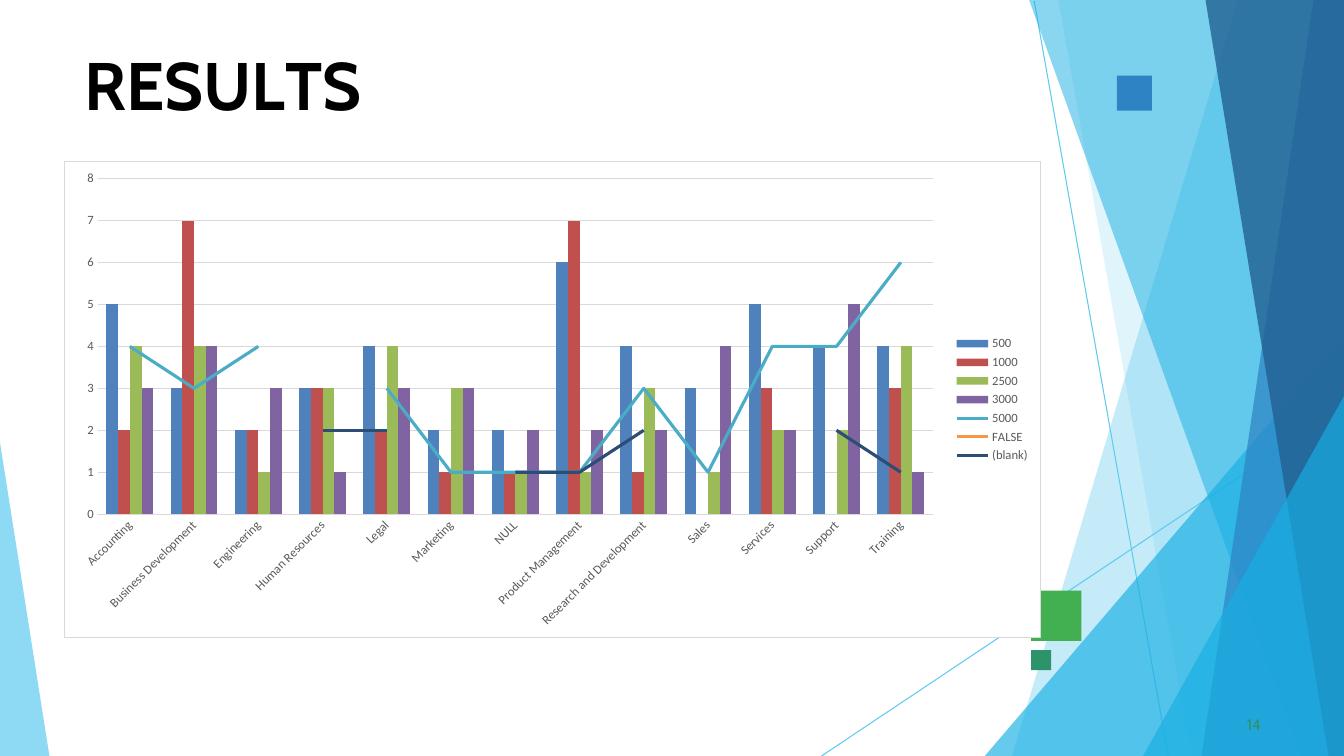
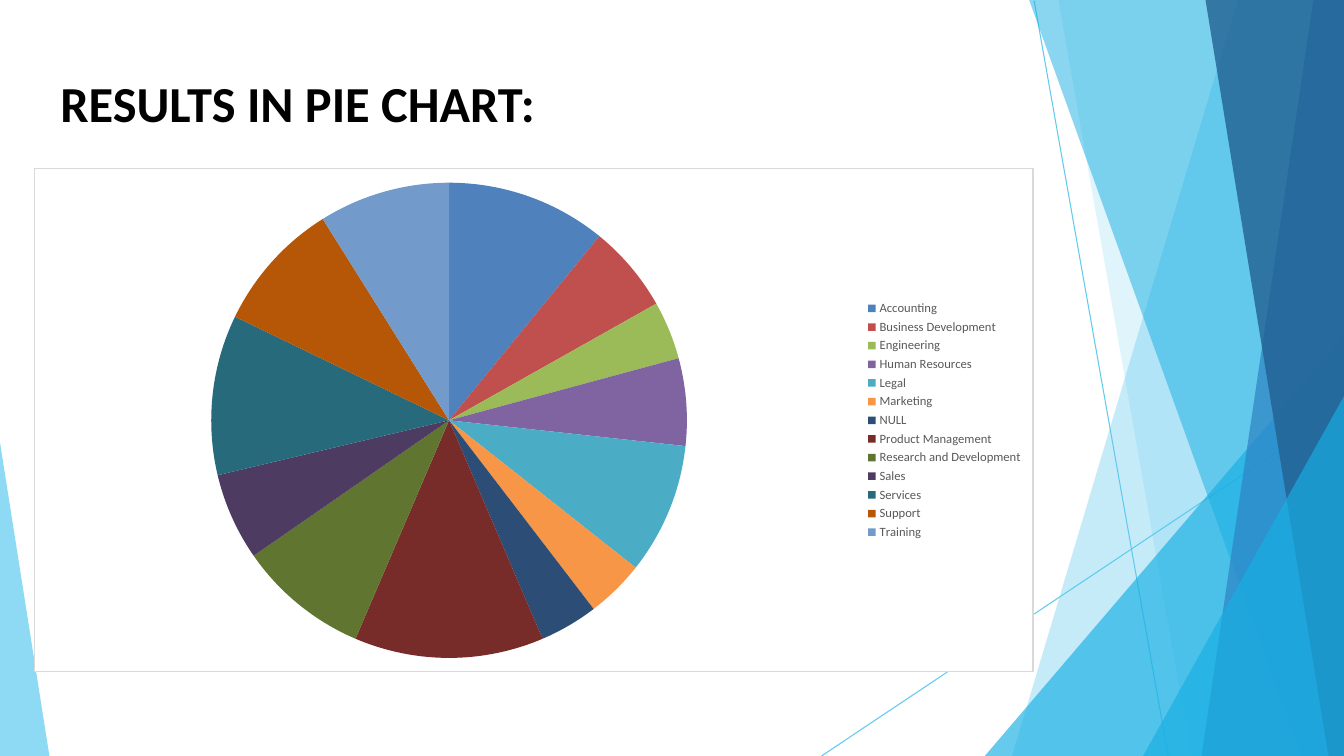
"""Builds two result slides: a column and line chart, and a pie chart."""
from pptx import Presentation, util as u
from pptx.chart.data import CategoryChartData
from pptx.dml.color import RGBColor
from pptx.enum import chart as ch, shapes, text
from pptx.oxml import parse_xml
from pptx.oxml.ns import nsdecls, qn

Pt = u.Pt
BLACK = RGBColor(0x00, 0x00, 0x00)
WHITE = RGBColor(0xFF, 0xFF, 0xFF)
GRAY = RGBColor(0x59, 0x59, 0x59)
RULE = RGBColor(0xD9, 0xD9, 0xD9)
SKY = RGBColor(0x5F, 0xCA, 0xEE)
CYAN = RGBColor(0x17, 0xAF, 0xE3)
BLUE = RGBColor(0x2D, 0x83, 0xC3)
NAVY = RGBColor(0x22, 0x61, 0x92)
GREEN = RGBColor(0x42, 0xAF, 0x51)
TEAL = RGBColor(0x2D, 0x93, 0x6B)
PALETTE = [RGBColor.from_string(c) for c in (
    "4F81BD", "C0504D", "9BBB59", "8064A2", "4BACC6", "F79646", "2C4D75",
    "772C2A", "5F7530", "4D3B62", "276A7C", "B65708", "729ACA")]

DEPARTMENTS = ["Accounting", "Business Development", "Engineering", "Human Resources",
               "Legal", "Marketing", "NULL", "Product Management",
               "Research and Development", "Sales", "Services", "Support", "Training"]
COUNTS = {
    "500": [5, 3, 2, 3, 4, 2, 2, 6, 4, 3, 5, 4, 4],
    "1000": [2, 7, 2, 3, 2, 1, 1, 7, 1, None, 3, None, 3],
    "2500": [4, 4, 1, 3, 4, 3, 1, 1, 3, 1, 2, 2, 4],
    "3000": [3, 4, 3, 1, 3, 3, 2, 2, 2, 4, 2, 5, 1],
    "5000": [4, 3, 4, None, 3, 1, 1, 1, 3, 1, 4, 4, 6],
    "FALSE": [None, None, 1] + [None] * 10,
    "(blank)": [2, None, None, 2, 2, None, 1, 1, 2, None, None, 2, 1],
}
W, H = 960, 540


def add_text(s, box, runs, size, font, color, bold=False, inset=None):
    """Adds a one-paragraph text box and returns it."""
    sp = s.shapes.add_textbox(*map(Pt, box))
    tf = sp.text_frame
    tf.word_wrap = True
    tf.vertical_anchor = text.MSO_ANCHOR.TOP
    if inset is not None:
        tf.margin_left = tf.margin_right = tf.margin_bottom = 0
        tf.margin_top = Pt(inset)
    p = tf.paragraphs[0]
    for run in runs:
        p.add_run().text = run
    p.font.size, p.font.name, p.font.bold = Pt(size), font, bold
    p.font.color.rgb = color
    return sp


def add_chart(s, kind, box, data):
    """Adds a framed chart with a legend on the right and returns it."""
    chart = s.shapes.add_chart(kind, *map(Pt, box), data).chart
    chart.has_title = False
    chart.font.size, chart.font.name = Pt(10), "Calibri"
    chart.font.color.rgb = BLACK
    chart.has_legend = True
    chart.legend.position = ch.XL_LEGEND_POSITION.RIGHT
    chart.legend.include_in_layout = False
    fonts = [chart.legend.font]
    if kind != ch.XL_CHART_TYPE.PIE:
        fonts += [a.tick_labels.font for a in (chart.category_axis, chart.value_axis)]
    for font in fonts:
        font.size, font.name = Pt(9), "Calibri"
        font.color.rgb = GRAY
    chart.element.find(qn("c:chart")).addnext(parse_xml(
        f'<c:spPr {nsdecls("c", "a")}>'
        f'<a:solidFill><a:srgbClr val="{WHITE}"/></a:solidFill>'
        f'<a:ln w="{Pt(0.75)}"><a:solidFill><a:srgbClr val="{RULE}"/></a:solidFill></a:ln>'
        '</c:spPr>'))
    return chart


prs = Presentation()
prs.slide_width, prs.slide_height = Pt(W), Pt(H)
layout = prs.slide_layouts[6]
s = prs.slides.add_slide(layout)

decor = []
for ends in ((738.72, 0.72, 834.48, H), (W, 290.88, 586.8, H)):
    line = s.shapes.add_connector(shapes.MSO_CONNECTOR.STRAIGHT, *map(Pt, ends))
    line.line.color.rgb, line.line.width = SKY, Pt(0.75)
    line.element.spPr.append(parse_xml(f'<a:effectLst {nsdecls("a")}/>'))
    decor.append(line)

panels = [
    (SKY, 36, [(W, 0), (884.16, 0), (722.88, H), (W, H)]),
    (SKY, 20, [(W, 0), (756, 0), (851.04, H), (W, H)]),
    (CYAN, 66, [(W, 239.76), (703.44, H), (W, H)]),
    (CYAN, 50, [(W, 0), (735.12, 0), (929.52, H), (W, H)]),
    (BLUE, 70, [(W, 0), (938.16, 0), (858.24, H), (W, H)]),
    (NAVY, 80, [(W, 0), (861.12, 0), (948.96, H), (W, H)]),
    (CYAN, 66, [(W, 282.96), (816.48, H), (W, H)]),
    (SKY, 70, [(0, 316.08), (0, H), (35.28, H)]),
]
for color, opacity, corners in panels:
    points = [(Pt(x), Pt(y)) for x, y in corners]
    fb = s.shapes.build_freeform(*points[0])
    fb.add_line_segments(points[1:], close=True)
    panel = fb.convert_to_shape()
    panel.shadow.inherit = False
    panel.fill.solid()
    panel.fill.fore_color.rgb = color
    panel.line.fill.background()
    panel.element.spPr.find(qn("a:solidFill"))[0].append(
        parse_xml(f'<a:alpha {nsdecls("a")} val="{opacity * 1000}"/>'))
    decor.append(panel)

for number, sp in enumerate(decor, 20):
    sp.element.xpath(".//p:cNvPr")[0].set("id", str(number))
    layout.shapes.element.append(sp.element)

for color, x, y, size in ((GREEN, 736.56, 421.92, 36), (BLUE, 797.76, 54, 25),
                          (TEAL, 736.56, 464.4, 14.4)):
    sp = s.shapes.add_shape(shapes.MSO_SHAPE.RECTANGLE, Pt(x), Pt(y), Pt(size), Pt(size))
    sp.shadow.inherit = False
    sp.fill.solid()
    sp.fill.fore_color.rgb = color
    sp.line.fill.background()

title = add_text(s, (60, 30, 841, 60), ["RESU", "L", "TS"], 48, "Cabin", BLACK, True, 1)
title.text_frame.paragraphs[0].space_before = Pt(1.1)
title.element.xpath(".//a:r")[1].get_or_add_rPr().set("spc", "-400")
add_text(s, (890.64, 510, 18, 15), ["14"], 11, "Cabin", TEAL, inset=1)

data = CategoryChartData()
data.categories = DEPARTMENTS
for name, counts in COUNTS.items():
    data.add_series(name, counts)
chart = add_chart(s, ch.XL_CHART_TYPE.COLUMN_CLUSTERED, (45.72, 115.2, 697.68, 340.56), data)

bars = chart.element.find(".//" + qn("c:barChart"))
lines = parse_xml(f'<c:lineChart {nsdecls("c")}><c:grouping val="standard"/>'
                  '<c:varyColors val="0"/></c:lineChart>')
for ser in bars.findall(qn("c:ser"))[4:]:
    for flag in ser.findall(qn("c:invertIfNegative")):
        ser.remove(flag)
    lines.append(ser)
lines.append(parse_xml(f'<c:marker {nsdecls("c")} val="1"/>'))
for axis_id in bars.findall(qn("c:axId")):
    lines.append(parse_xml(f'<c:axId {nsdecls("c")} val="{axis_id.get("val")}"/>'))
bars.addnext(lines)

columns, trends = chart.plots
columns.gap_width = 150
columns.vary_by_categories = False
for series, color in zip(columns.series, PALETTE):
    series.format.fill.solid()
    series.format.fill.fore_color.rgb = color
for series, color in zip(trends.series, PALETTE[4:]):
    series.format.line.color.rgb, series.format.line.width = color, Pt(2.25)
    series.marker.style = ch.XL_MARKER_STYLE.NONE
    series.smooth = False

cat, val = chart.category_axis, chart.value_axis
for axis in (cat, val):
    axis.major_tick_mark = axis.minor_tick_mark = ch.XL_TICK_MARK.NONE
cat.format.line.color.rgb, cat.format.line.width = RULE, Pt(0.75)
chart.element.find(".//" + qn("c:catAx")).find(".//" + qn("a:bodyPr")).set("rot", "-2700000")
val.minimum_scale, val.maximum_scale, val.major_unit = 0, 8, 1
val.format.line.fill.background()
val.has_major_gridlines = True
grid = val.major_gridlines.format.line
grid.color.rgb, grid.width = RULE, Pt(0.75)

s = prs.slides.add_slide(layout)
add_text(s, (36, 48, 564, 51), ["RESULTS IN PIE CHART:"], 36, "Calibri", BLACK, True)

data = CategoryChartData()
data.categories = DEPARTMENTS
for number, counts in enumerate(COUNTS.values(), 1):
    total = sum(filter(None, counts))
    data.add_series(f"Series {number}", [n and round(100 * n / total) for n in counts])
chart = add_chart(s, ch.XL_CHART_TYPE.PIE, (24, 120.24, 714.24, 360), data)
chart.replace_data(data)
chart.plots[0].vary_by_categories = True
for series in chart.plots[0].series:
    for i, color in enumerate(PALETTE):
        fill = series.points[i].format.fill
        fill.solid()
        fill.fore_color.rgb = color

prs.save("out.pptx")
